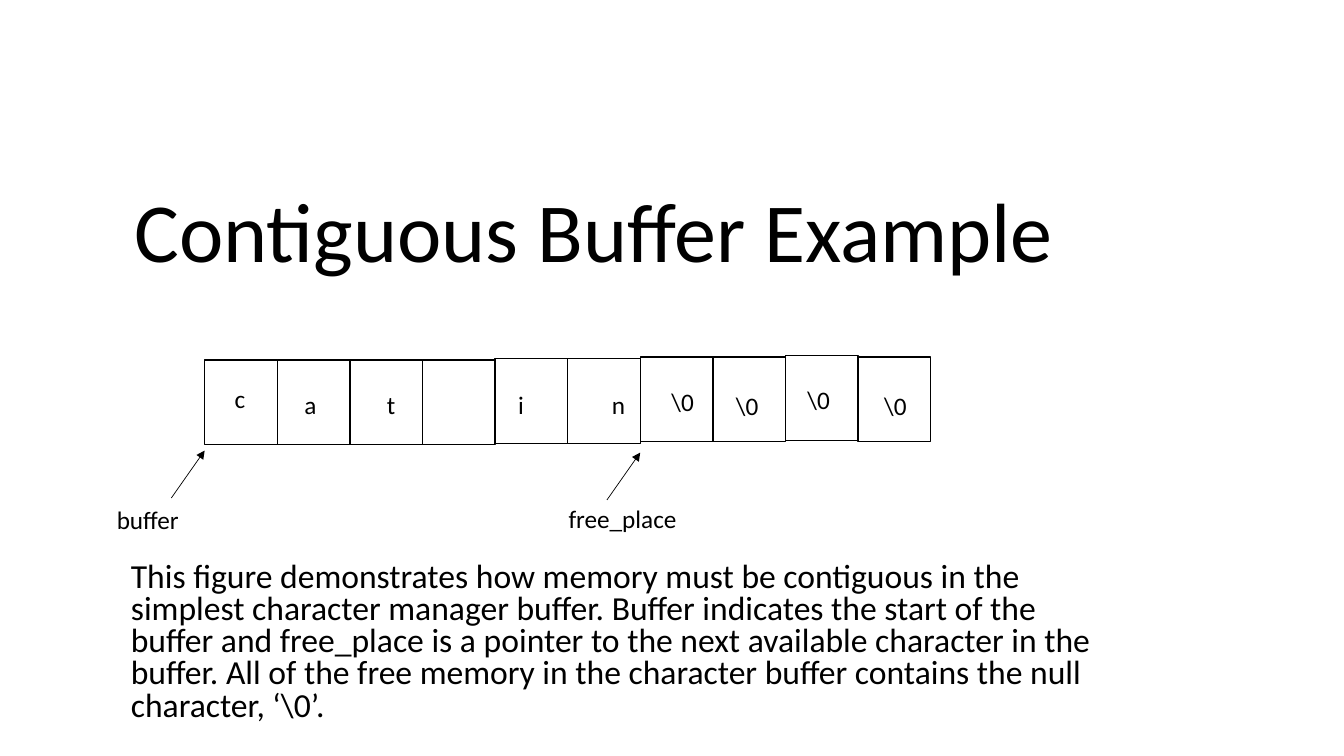
from dataclasses import dataclass

from lxml import etree
from pptx import Presentation
from pptx import util as u
from pptx.dml.color import RGBColor
from pptx.enum import shapes, text
from pptx.oxml.ns import qn


@dataclass(frozen=True)
class Theme:
    font: str = "Calibri"
    ink: RGBColor = RGBColor(0, 0, 0)
    title_size: int = 60
    body_size: int = 24
    label_size: int = 18
    cell_line: float = 1
    arrow_line: float = 0.5


THEME = Theme()
CELL_WIDTH, CELL_HEIGHT = 0.72, 0.84
LABEL_HEIGHT = 0.4

# Character, drop of its cell, then the offset of its label in the row
BUFFER_CELLS = [
    ("c", 0.04, 0.20, 0.22),
    ("a", 0.04, 0.89, 0.28),
    ("t", 0.04, 1.71, 0.28),
    ("", 0.04, 0, 0),
    ("i", 0.03, 3.01, 0.28),
    ("n", 0.03, 3.94, 0.28),
    (r"\0", 0.01, 4.53, 0.25),
    (r"\0", 0.01, 5.17, 0.29),
    (r"\0", 0, 5.88, 0.23),
    (r"\0", 0.01, 6.64, 0.29),
]

EXPLANATION = (
    "This figure demonstrates how memory must be contiguous in the simplest "
    "character manager buffer. Buffer indicates the start of the buffer and "
    "free_place is a pointer to the next available character in the buffer. "
    "All of the free memory in the character buffer contains the null "
    r"character, ‘\0’."
)


def add_words(slide, box, words, size, anchor=text.MSO_ANCHOR.TOP,
              align=text.PP_ALIGN.LEFT, line_spacing=1.0, space_before=0):
    frame = slide.shapes.add_textbox(*map(u.Inches, box)).text_frame
    frame.word_wrap = True
    frame.vertical_anchor = anchor
    paragraph = frame.paragraphs[0]
    paragraph.alignment = align
    paragraph.line_spacing = line_spacing
    paragraph.space_before = u.Pt(space_before)
    run = paragraph.add_run()
    run.text = words
    run.font.name = THEME.font
    run.font.size = u.Pt(size)
    run.font.color.rgb = THEME.ink


def add_title(slide, box):
    add_words(slide, box, "Contiguous Buffer Example", THEME.title_size,
              text.MSO_ANCHOR.BOTTOM, text.PP_ALIGN.CENTER, line_spacing=0.9)


def add_explanation(slide, box):
    add_words(slide, box, EXPLANATION, THEME.body_size,
              line_spacing=0.8, space_before=10)


def add_buffer(slide, left, top):
    # Adjoining memory cells
    for index, (_, drop, _, _) in enumerate(BUFFER_CELLS):
        box = (left + index * CELL_WIDTH, top + drop, CELL_WIDTH, CELL_HEIGHT)
        cell = slide.shapes.add_shape(
            shapes.MSO_SHAPE.RECTANGLE, *map(u.Inches, box))
        cell.shadow.inherit = False
        cell.fill.background()
        cell.line.color.rgb = THEME.ink
        cell.line.width = u.Pt(THEME.cell_line)

    # Stored characters
    for character, _, dx, dy in BUFFER_CELLS:
        if character:
            width = 0.3 if len(character) == 1 else 0.56
            add_words(slide, (left + dx, top + dy, width, LABEL_HEIGHT),
                      character, THEME.label_size)


def add_pointer(slide, tip_x, tip_y, name, label_left, label_top):
    # Arrow rising to the cell boundary
    arrow = slide.shapes.add_connector(
        shapes.MSO_CONNECTOR.STRAIGHT,
        *map(u.Inches, (tip_x - 0.33, tip_y + 0.47, tip_x, tip_y)))
    arrow.line.color.rgb = THEME.ink
    arrow.line.width = u.Pt(THEME.arrow_line)
    etree.SubElement(arrow.line._get_or_add_ln(), qn("a:tailEnd"),
                     type="triangle")
    etree.SubElement(arrow._element.spPr, qn("a:effectLst"))

    # Pointer name
    add_words(slide, (label_left, label_top, 1.32, LABEL_HEIGHT),
              name, THEME.label_size)


def main():
    deck = Presentation()
    deck.slide_width, deck.slide_height = u.Inches(13.33), u.Inches(7.5)
    slide = deck.slides.add_slide(deck.slide_layouts[6])

    add_title(slide, (0.89, 0.22, 10, 2.61))
    add_explanation(slide, (1.2, 5.53, 10, 1.81))
    add_buffer(slide, 2.03, 3.53)
    add_pointer(slide, 2.03, 4.47, "buffer", 1.06, 4.95)
    add_pointer(slide, 6.35, 4.49, "free_place", 5.54, 4.94)

    deck.save("out.pptx")


if __name__ == "__main__":
    main()
